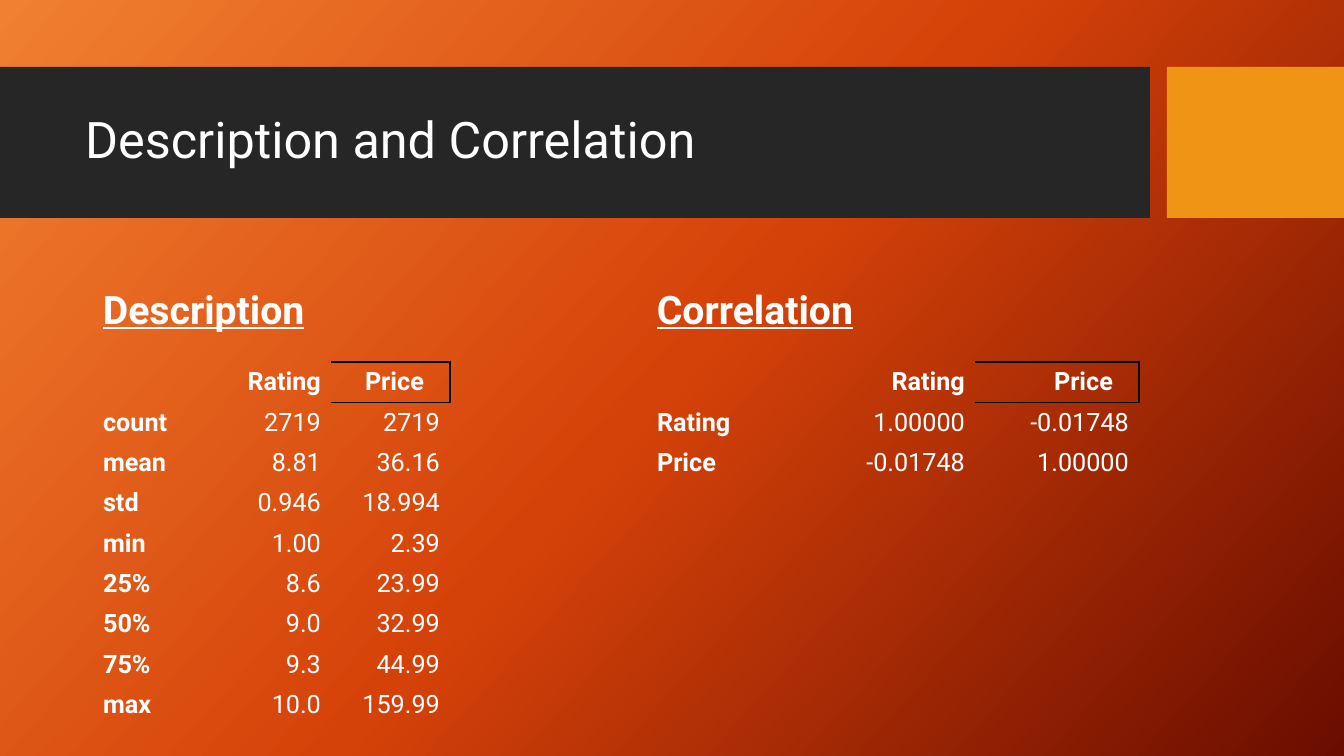
"""Build the Description and Correlation slide."""
from copy import deepcopy

from lxml.etree import SubElement
from pptx import Presentation
from pptx.dml.color import RGBColor
from pptx.enum.shapes import MSO_SHAPE as SHAPE
from pptx.enum.text import MSO_ANCHOR as ANCHOR, MSO_AUTO_SIZE as AUTO, PP_ALIGN as ALIGN
from pptx.oxml.ns import qn
from pptx.util import Emu, Pt

WHITE = RGBColor(0xFF, 0xFF, 0xFF)
BLACK = RGBColor(0x00, 0x00, 0x00)
CHARCOAL = RGBColor(0x26, 0x26, 0x26)
AMBER = RGBColor(0xF0, 0x94, 0x15)
GRADIENT = [(0, RGBColor(0xF1, 0x80, 0x31)), (0.5, RGBColor(0xD5, 0x42, 0x09)),
            (1, RGBColor(0x6A, 0x0D, 0x00))]
NO_STYLE_NO_GRID = "{2D5ABB26-0587-4C30-8999-92F81FD0307C}"
SCALE = 12192000 / 1344


def px(*lengths):
    """Turn pixel lengths into EMU."""
    return [Emu(round(n * SCALE)) for n in lengths]


def write(tf, text, size=18, bold=False, underline=False, align=ALIGN.LEFT):
    """Write one formatted paragraph and return it."""
    p = tf.paragraphs[0]
    p.alignment = align
    r = p.add_run()
    r.text = text
    r.font.name, r.font.size = "Roboto", Pt(size)
    r.font.bold, r.font.underline = bold, underline
    r.font.color.rgb = WHITE
    return p


prs = Presentation()
prs.slide_width, prs.slide_height = px(1344, 756)
s = prs.slides.add_slide(prs.slide_layouts[5])

fill = s.background.fill
fill.gradient()
fill.gradient_angle = 360 - 42
stop_list = next(s.element.iter(qn("a:gsLst")))
stop_list.insert(1, deepcopy(stop_list[0]))
for stop, (position, color) in zip(fill.gradient_stops, GRADIENT):
    stop.position, stop.color.rgb = position, color

for left, width, color in [(0, 1150, CHARCOAL), (1167, 177, AMBER)]:
    sp = s.shapes.add_shape(SHAPE.RECTANGLE, *px(left, 67, width, 151))
    sp.shadow.inherit = False
    sp.fill.solid()
    sp.fill.fore_color.rgb = color
    sp.line.fill.background()

title = s.shapes.title
s.shapes.element.append(title.element)
title.left, title.top, title.width, title.height = px(75, 83, 1059, 119)
tf = title.text_frame
tf.auto_size, tf.vertical_anchor = AUTO.NONE, ANCHOR.MIDDLE
write(tf, "Description and Correlation", size=36).line_spacing = 0.9

description = [
    ("", "Rating", "Price"),
    ("count", "2719", "2719"),
    ("mean", "8.81", "36.16"),
    ("std", "0.946", "18.994"),
    ("min", "1.00", "2.39"),
    ("25%", "8.6", "23.99"),
    ("50%", "9.0", "32.99"),
    ("75%", "9.3", "44.99"),
    ("max", "10.0", "159.99"),
]
correlation = [
    ("", "Rating", "Price"),
    ("Rating", "1.00000", "-0.01748"),
    ("Price", "-0.01748", "1.00000"),
]

for heading, left, col_width, rows in [("Description", 93, 119, description),
                                       ("Correlation", 647, 164, correlation)]:
    box = s.shapes.add_textbox(*px(left, 280, 3 * col_width, 57))
    box.text_frame.word_wrap = True
    write(box.text_frame, heading, size=28, bold=True, underline=True)

    frame = s.shapes.add_table(len(rows), 3, *px(left, 362, 3 * col_width, 39 * len(rows)))
    table = frame.table
    next(frame.element.iter(qn("a:tableStyleId"))).text = NO_STYLE_NO_GRID
    table.first_row = table.horz_banding = False
    for i, values in enumerate(rows):
        for j, value in enumerate(values):
            cell = table.cell(i, j)
            cell.vertical_anchor = ANCHOR.MIDDLE
            write(cell.text_frame, value, bold=i == 0 or j == 0,
                  align=ALIGN.RIGHT if j else ALIGN.LEFT)

    price = table.cell(0, 2)
    price.margin_right, = px(26)
    tc_pr = next(price.text_frame._element.getparent().iter(qn("a:tcPr")))
    for side in ("lnR", "lnT", "lnB"):
        border = SubElement(tc_pr, qn(f"a:{side}"), w=str(Pt(1)))
        solid = SubElement(border, qn("a:solidFill"))
        SubElement(solid, qn("a:srgbClr"), val=str(BLACK))
    for row in table.rows:
        for cell in row.cells:
            cell.fill.background()

prs.save("out.pptx")
